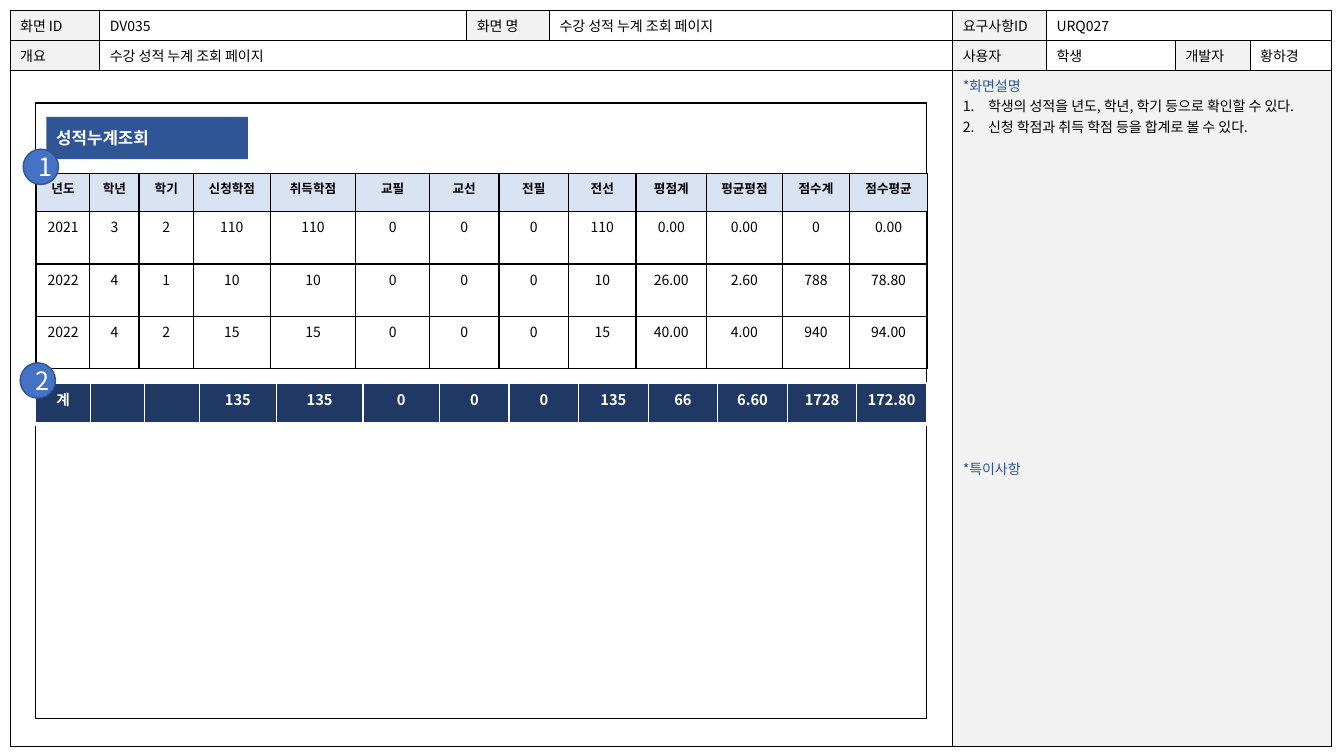
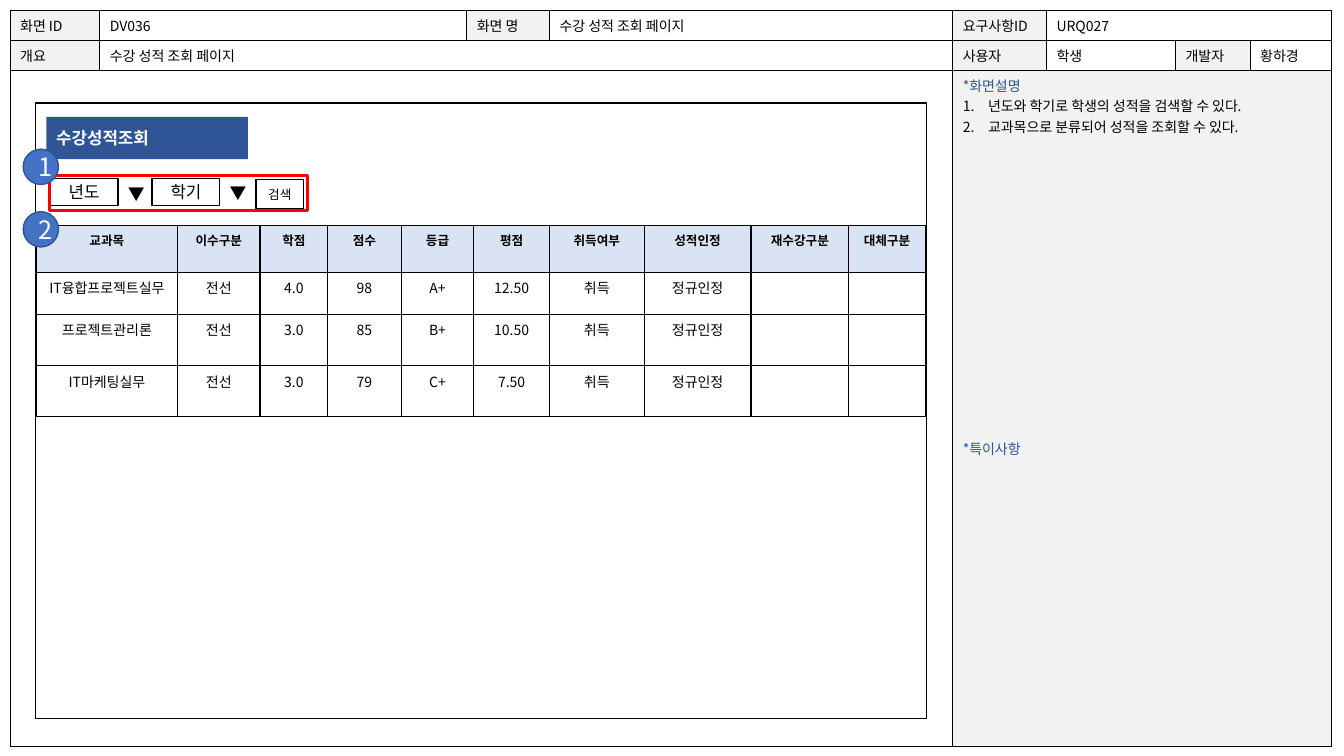
import dataclasses
import pptx
import pptx.dml.color
import pptx.enum.shapes
import pptx.enum.text
import pptx.oxml
import pptx.oxml.ns
import pptx.util
import lxml.etree

Inches = pptx.util.Inches
Pt = pptx.util.Pt
Align = pptx.enum.text.PP_ALIGN
Shape = pptx.enum.shapes.MSO_SHAPE
qn = pptx.oxml.ns.qn


@dataclasses.dataclass(frozen=True)
class Theme:
    font: str = "Noto Sans CJK KR"
    black: str = "000000"
    white: str = "FFFFFF"
    label: str = "F2F2F2"
    header: str = "DAE3F3"
    accent: str = "2F5597"
    total: str = "203864"
    marker: str = "4472C4"
    marker_edge: str = "325491"
    highlight: str = "FF0000"
    small: float = 9
    body: float = 10
    total_size: float = 10.5
    title: float = 12
    marker_size: float = 18
    thin: float = 0.5
    line: float = 1
    thick: float = 3
    frame: float = 2.25


THEME = Theme()


@dataclasses.dataclass(frozen=True)
class Box:
    left: float
    top: float
    width: float
    height: float

    def inner(self, left, top, width, height):
        return Box(self.left + left, self.top + top, width, height)

    def lengths(self):
        return [Inches(n) for n in (self.left, self.top, self.width, self.height)]


def rgb(value):
    return pptx.dml.color.RGBColor.from_string(value)


def add_span(para, text, size, color=THEME.black, bold=False):
    span = para.add_run()
    span.text = text
    span.font.size = Pt(size)
    span.font.bold = bold
    span.font.color.rgb = rgb(color)
    span.font.name = THEME.font
    east_asian = lxml.etree.SubElement(span.font._element, qn("a:ea"))
    east_asian.set("typeface", THEME.font)


def number_para(para):
    props = para._p.get_or_add_pPr()
    props.set("marL", str(Inches(0.25)))
    props.set("indent", str(Inches(-0.25)))
    bullet = lxml.etree.SubElement(props, qn("a:buAutoNum"))
    bullet.set("type", "arabicPeriod")


def set_borders(cell, color, left, right, top, bottom):
    props = cell._tc.get_or_add_tcPr()
    edges = (("lnL", left), ("lnR", right), ("lnT", top), ("lnB", bottom))
    for index, (tag, width) in enumerate(edges):
        edge = lxml.etree.Element(qn("a:" + tag), w=str(Pt(width)))
        paint = lxml.etree.SubElement(edge, qn("a:solidFill"))
        lxml.etree.SubElement(paint, qn("a:srgbClr"), val=color)
        props.insert(index, edge)


def fill_cell(cell, text, size, fill=None, color=THEME.black, bold=False, align=Align.LEFT):
    if fill:
        cell.fill.solid()
        cell.fill.fore_color.rgb = rgb(fill)
    else:
        cell.fill.background()
    para = cell.text_frame.paragraphs[0]
    para.alignment = align
    if text:
        add_span(para, text, size, color, bold)
    else:
        lxml.etree.SubElement(para._p, qn("a:endParaRPr"), sz=str(int(size * 100)))


def add_grid(page, box, widths, heights):
    table = page.shapes.add_table(len(heights), len(widths), *box.lengths()).table
    table.first_row = False
    table.horz_banding = False
    for column, width in zip(table.columns, widths):
        column.width = Inches(width)
    for row, height in zip(table.rows, heights):
        row.height = Inches(height)
    return table


def add_box(page, box, kind=Shape.RECTANGLE, fill=None, line=None, width=THEME.line,
            text="", size=THEME.title, color=THEME.black, bold=False, align=Align.CENTER):
    shape = page.shapes.add_shape(kind, *box.lengths())
    shape.shadow.inherit = False
    if fill:
        shape.fill.solid()
        shape.fill.fore_color.rgb = rgb(fill)
    else:
        shape.fill.background()
    if line:
        shape.line.color.rgb = rgb(line)
        shape.line.width = Pt(width)
    else:
        shape.line.fill.background()
    if text:
        para = shape.text_frame.paragraphs[0]
        para.alignment = align
        add_span(para, text, size, color, bold)


def add_description(cell, items, gap):
    frame = cell.text_frame
    add_span(frame.paragraphs[0], "*화면설명", THEME.body, THEME.accent)
    for item in items:
        para = frame.add_paragraph()
        number_para(para)
        add_span(para, item, THEME.body)
    para = frame.add_paragraph()
    para.space_before = Inches(gap)
    add_span(para, "*특이사항", THEME.body, THEME.accent)


def add_sheet(page, box, screen_id, name, items, gap):
    widths = (0.89, 3.64, 0.82, 4, 0.93, 1.28, 0.74, 0.81)
    table = add_grid(page, box, widths, (0.28, 0.29, 6.7))
    rows = (
        ("화면 ID", screen_id, "화면 명", name, "요구사항ID", "URQ027", "", ""),
        ("개요", name, "", "", "사용자", "학생", "개발자", "황하경"),
        ("",) * 8,
    )
    for row_index, row in enumerate(rows):
        for index, text in enumerate(row):
            cell = table.cell(row_index, index)
            is_label = index >= 4 if row_index == 2 else index % 2 == 0 and text
            if not (row_index == 2 and index == 4):
                fill_cell(cell, text, THEME.body, THEME.label if is_label else THEME.white)
            set_borders(cell, THEME.black, *[THEME.thin] * 4)
    notes = table.cell(2, 4)
    notes.fill.solid()
    notes.fill.fore_color.rgb = rgb(THEME.label)
    add_description(notes, items, gap)
    for row, first, last in ((0, 5, 7), (1, 1, 3), (2, 0, 3), (2, 4, 7)):
        table.cell(row, first).merge(table.cell(row, last))


def add_panel(page, box, title):
    add_box(page, box, fill=THEME.white, line=THEME.black)
    return box.inner(0.11, 0.14, 2, 0.42), title


def add_title(page, box, title):
    add_box(page, box, fill=THEME.accent, text=title, color=THEME.white,
            bold=True, align=Align.LEFT)


def add_marker(page, box, number):
    add_box(page, box, Shape.OVAL, THEME.marker, THEME.marker_edge,
            text=str(number), size=THEME.marker_size, color=THEME.white)


def add_records(page, box, widths, heights, rows):
    table = add_grid(page, box, widths, heights)
    for row_index, row in enumerate(rows):
        head = row_index == 0
        for index, text in enumerate(row):
            cell = table.cell(row_index, index)
            fill_cell(cell, text, THEME.small if head else THEME.body,
                      THEME.header if head else None, bold=head, align=Align.CENTER)
            set_borders(cell, THEME.black, *[THEME.line] * 4)


def add_totals(page, box, widths, values):
    table = add_grid(page, box, widths, (box.height,))
    for index, text in enumerate(values):
        cell = table.cell(0, index)
        fill_cell(cell, text, THEME.total_size, THEME.total, THEME.white, True, Align.CENTER)
        set_borders(cell, THEME.white, THEME.line, THEME.line, THEME.line, THEME.thick)


def add_search(page, box):
    fields = ((0.01, 0.03, 0.67, 0.27, "년도", THEME.title),
              (1.02, 0.03, 0.67, 0.27, "학기", THEME.title),
              (2.05, 0.04, 0.47, 0.29, "검색", THEME.small))
    for left, top, width, height, text, size in fields:
        add_box(page, box.inner(left, top, width, height), fill=THEME.white,
                line=THEME.black, text=text, size=size)
    for left, top in ((0.68, 0.03), (1.69, 0.02)):
        arrow = page.shapes.add_textbox(*box.inner(left, top, 0.33, 0.3).lengths())
        arrow.text_frame.word_wrap = True
        add_span(arrow.text_frame.paragraphs[0], "▼", THEME.title)
    add_box(page, box, line=THEME.highlight, width=THEME.frame)


def add_screen(deck, screen_id, name, title, items, gap):
    page = deck.slides.add_slide(deck.slide_layouts[6])
    add_sheet(page, Box(0.1, 0.1, 13.12, 7.27), screen_id, name, items, gap)
    panel = Box(0.35, 1.02, 8.84, 6.11)
    add_box(page, panel, fill=THEME.white, line=THEME.black)
    add_title(page, panel.inner(0.11, 0.14, 2, 0.42), title)
    return page, panel


def build_cumulative(deck):
    page, panel = add_screen(
        deck, "DV035", "수강 성적 누계 조회 페이지", "성적누계조회",
        ("학생의 성적을 년도, 학년, 학기 등으로 확인할 수 있다.",
         "신청 학점과 취득 학점 등을 합계로 볼 수 있다."), 3.2)
    rows = (
        ("년도", "학년", "학기", "신청학점", "취득학점", "교필", "교선", "전필", "전선",
         "평점계", "평균평점", "점수계", "점수평균"),
        ("2021", "3", "2", "110", "110", "0", "0", "0", "110", "0.00", "0.00", "0", "0.00"),
        ("2022", "4", "1", "10", "10", "0", "0", "0", "10", "26.00", "2.60", "788", "78.80"),
        ("2022", "4", "2", "15", "15", "0", "0", "0", "15", "40.00", "4.00", "940", "94.00"),
    )
    widths = (0.53, 0.49, 0.54, 0.76, 0.85, 0.73, 0.69, 0.69, 0.67, 0.7, 0.75, 0.67, 0.77)
    add_records(page, panel.inner(0.01, 0.7, 8.84, 1.94), widths, (0.38,) + (0.52,) * 3, rows)
    add_totals(page, panel.inner(0, 2.78, 8.84, 0.41),
               (0.55, 0.53, 0.55, 0.76, 0.86, 0.76) + (0.69,) * 7,
               ("계", "", "", "135", "135", "0", "0", "0", "135", "66", "6.60", "1728", "172.80"))
    add_marker(page, panel.inner(-0.12, 0.46, 0.35, 0.35), 1)
    add_marker(page, panel.inner(-0.15, 2.58, 0.35, 0.35), 2)


def build_search(deck):
    page, panel = add_screen(
        deck, "DV036", "수강 성적 조회 페이지", "수강성적조회",
        ("년도와 학기로 학생의 성적을 검색할 수 있다.",
         "교과목으로 분류되어 성적을 조회할 수 있다."), 3)
    rows = (
        ("교과목", "이수구분", "학점", "점수", "등급", "평점", "취득여부", "성적인정",
         "재수강구분", "대체구분"),
        ("IT융합프로젝트실무", "전선", "4.0", "98", "A+", "12.50", "취득", "정규인정", "", ""),
        ("프로젝트관리론", "전선", "3.0", "85", "B+", "10.50", "취득", "정규인정", "", ""),
        ("IT마케팅실무", "전선", "3.0", "79", "C+", "7.50", "취득", "정규인정", "", ""),
    )
    widths = (1.4, 0.82, 0.67, 0.73, 0.72, 0.75, 0.94, 1.06, 0.97, 0.76)
    add_records(page, panel.inner(0.01, 1.22, 8.82, 1.89), widths, (0.46, 0.42, 0.51, 0.5), rows)
    add_search(page, panel.inner(0.14, 0.72, 2.56, 0.35))
    for number, top in enumerate((0.46, 1.08), 1):
        add_marker(page, panel.inner(-0.12, top, 0.35, 0.35), number)


def main():
    deck = pptx.Presentation()
    deck.slide_width = Inches(13.33)
    deck.slide_height = Inches(7.5)
    build_cumulative(deck)
    build_search(deck)
    deck.save("out.pptx")


if __name__ == "__main__":
    main()
